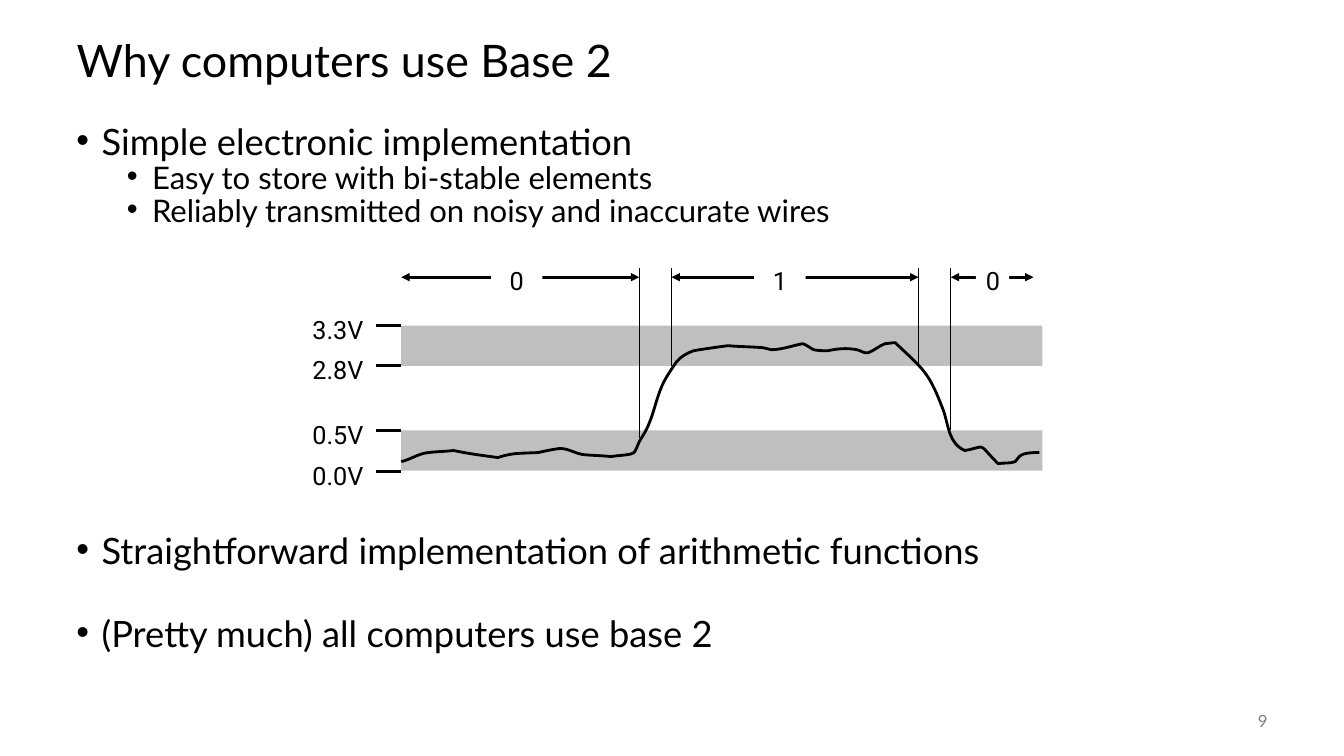
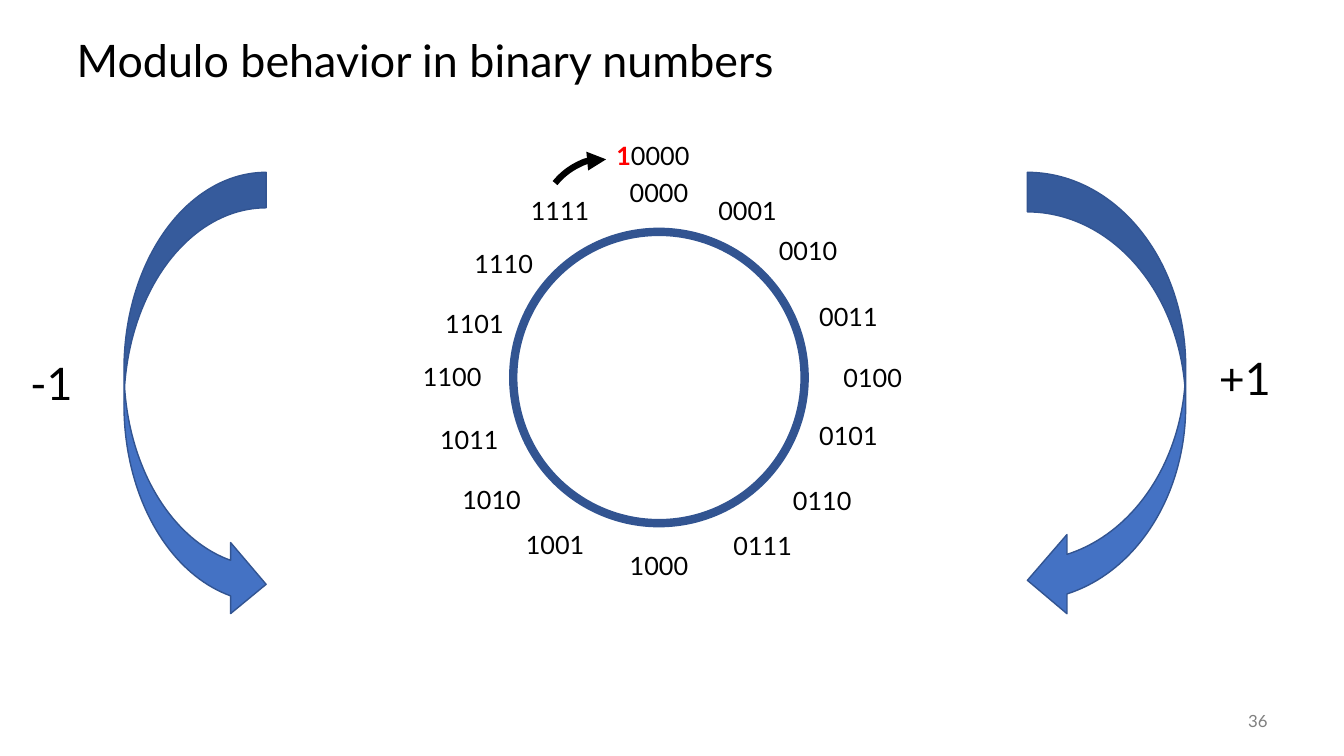
from lxml.etree import Element, SubElement
from pptx import Presentation
from pptx.dml.color import RGBColor
from pptx.enum.shapes import MSO_CONNECTOR, MSO_SHAPE
from pptx.enum.text import MSO_ANCHOR, MSO_AUTO_SIZE, PP_ALIGN
from pptx.oxml.ns import qn
from pptx.util import Inches, Pt

color = RGBColor.from_string
BLACK, WHITE, RED = "000000", "FFFFFF", "FF0000"
BAND_GRAY, NUMBER_GRAY = "BFBFBF", "808080"
BLUE, DARK_BLUE = "4472C4", "325491"
TEXT_FONT, DIAGRAM_FONT = "Lato", "Roboto"


def add_text(page, left, top, width, height, spans, size=18, font=TEXT_FONT,
             align=PP_ALIGN.LEFT, ink=BLACK):
    box = page.shapes.add_textbox(Inches(left), Inches(top), Inches(width), Inches(height))
    box.text_frame.word_wrap = True
    para = box.text_frame.paragraphs[0]
    para.alignment = align
    for text in spans:
        span = para.add_run()
        span.text = text
        span.font.size = Pt(size)
        span.font.name = font
        span.font.color.rgb = color(ink)
    return box


def add_line(page, x1, y1, x2, y2, width, arrows=False):
    line = page.shapes.add_connector(
        MSO_CONNECTOR.STRAIGHT, Inches(x1), Inches(y1), Inches(x2), Inches(y2))
    line.line.color.rgb = color(BLACK)
    line.line.width = Pt(width)
    if arrows:
        for end in ("a:headEnd", "a:tailEnd"):
            SubElement(line.get_or_add_ln(), qn(end), type="triangle")
    SubElement(line._element.spPr, qn("a:effectLst"))


deck = Presentation()
deck.slide_width = Inches(13.33)
deck.slide_height = Inches(7.5)

pages = []
for heading, number in (("Why computers use Base 2", "9"),
                        ("Modulo behavior in binary numbers", "36")):
    page = deck.slides.add_slide(deck.slide_layouts[5])
    title = page.shapes.title
    title.left, title.top = Inches(0.66), Inches(0.25)
    title.width, title.height = Inches(12), Inches(0.75)
    title.text_frame.text = heading
    title.text_frame.auto_size = MSO_AUTO_SIZE.NONE
    title.text_frame.vertical_anchor = MSO_ANCHOR.MIDDLE
    para = title.text_frame.paragraphs[0]
    para.alignment = PP_ALIGN.LEFT
    para.line_spacing = 0.9
    font = para.runs[0].font
    font.size, font.name = Pt(32), TEXT_FONT
    font.color.rgb = color(BLACK)
    footer = add_text(page, 11.67, 6.95, 1, 0.4, [number], size=12,
                      align=PP_ALIGN.RIGHT, ink=NUMBER_GRAY)
    footer.text_frame.vertical_anchor = MSO_ANCHOR.MIDDLE
    pages.append(page)
base_page, modulo_page = pages

bullets = [
    ("Simple electronic implementation", 0, 0),
    ("Easy to store with bi-stable elements", 1, 5),
    ("Reliably transmitted on noisy and inaccurate wires", 1, 5),
    ("Straightforward implementation of arithmetic functions", 0, 223),
    ("(Pretty much) all computers use base 2", 0, 37.6),
]
body = base_page.shapes.add_textbox(Inches(0.66), Inches(1.25), Inches(12), Inches(5.5))
body.text_frame.word_wrap = True
for index, (text, level, space) in enumerate(bullets):
    para = body.text_frame.paragraphs[0] if index == 0 else body.text_frame.add_paragraph()
    para.text = text
    para.level = level
    para.line_spacing = 0.7
    para.space_before = Pt(space)
    properties = para._p.get_or_add_pPr()
    properties.set("marL", str(Inches(0.25 + 0.5 * level)))
    properties.set("indent", str(Inches(-0.25)))
    SubElement(properties, qn("a:buFont"), typeface="Arial")
    SubElement(properties, qn("a:buChar"), char="•")
    font = para.runs[0].font
    font.size, font.name = Pt(22.2 if level else 25.9), TEXT_FONT
    font.color.rgb = color(BLACK)

for top in (4.27, 3.23):
    band = base_page.shapes.add_shape(
        MSO_SHAPE.RECTANGLE, Inches(3.98), Inches(top), Inches(6.36), Inches(0.4))
    band.shadow.inherit = False
    band.fill.solid()
    band.fill.fore_color.rgb = color(BAND_GRAY)
    band.line.fill.background()

signal_curves = [
    (4.07, 4.56, 4.15, 4.5, 4.25, 4.49), (4.33, 4.48, 4.41, 4.48, 4.5, 4.47),
    (4.64, 4.5, 4.79, 4.52, 4.94, 4.54), (5.09, 4.49, 5.14, 4.5, 5.34, 4.49),
    (5.38, 4.48, 5.52, 4.45, 5.56, 4.45), (5.64, 4.45, 5.71, 4.5, 5.78, 4.51),
    (5.88, 4.52, 5.97, 4.52, 6.06, 4.53), (6.12, 4.52, 6.17, 4.52, 6.23, 4.51),
    (6.25, 4.51, 6.27, 4.5, 6.29, 4.49), (6.32, 4.45, 6.33, 4.39, 6.36, 4.35),
    (6.48, 4.17, 6.49, 4, 6.57, 3.82), (6.6, 3.75, 6.67, 3.65, 6.71, 3.59),
    (6.75, 3.54, 6.82, 3.5, 6.88, 3.48), (6.99, 3.46, 7.22, 3.43, 7.22, 3.43),
    (7.33, 3.44, 7.45, 3.44, 7.57, 3.45), (7.6, 3.45, 7.62, 3.47, 7.65, 3.47),
    (7.75, 3.47, 7.86, 3.43, 7.96, 3.41), (8, 3.42, 8.03, 3.45, 8.07, 3.47),
    (8.12, 3.48, 8.16, 3.48, 8.21, 3.48), (8.31, 3.46, 8.39, 3.45, 8.5, 3.47),
    (8.54, 3.48, 8.58, 3.51, 8.61, 3.5), (8.67, 3.48, 8.72, 3.43, 8.78, 3.41),
    (8.81, 3.41, 8.84, 3.4, 8.88, 3.4), (9.16, 3.67, 9.21, 3.68, 9.36, 4.08),
    (9.41, 4.23, 9.41, 4.4, 9.57, 4.47), (9.8, 4.43, 9.68, 4.38, 9.9, 4.6),
    (9.96, 4.59, 10.02, 4.6, 10.07, 4.58), (10.09, 4.57, 10.09, 4.54, 10.11, 4.53),
    (10.15, 4.49, 10.25, 4.49, 10.31, 4.49),
]
builder = base_page.shapes.build_freeform(Inches(3.98), Inches(4.58))
builder.add_line_segments(
    [(Inches(curve[4]), Inches(curve[5])) for curve in signal_curves], close=False)
signal = builder.convert_to_shape()
segments = list(signal._element.iter(qn("a:lnTo")))
for segment, (x1, y1, x2, y2, _, _) in zip(segments, signal_curves):
    segment.tag = qn("a:cubicBezTo")
    for position, (x, y) in enumerate(((x1, y1), (x2, y2))):
        control = Element(qn("a:pt"), x=str(Inches(x) - signal.left),
                          y=str(Inches(y) - signal.top))
        segment.insert(position, control)
signal.shadow.inherit = False
signal.fill.background()
signal.line.color.rgb = color(BLACK)
signal.line.width = Pt(2)

for voltage, tick, top in (("3.3V", 3.23, 3.07), ("2.8V", 3.63, 3.47),
                           ("0.5V", 4.27, 4.11), ("0.0V", 4.68, 4.52)):
    add_line(base_page, 3.98, tick, 3.73, tick, 2)
    label = add_text(base_page, 3, top, 0.71, 0.4, [voltage], font=DIAGRAM_FONT)
    label.text_frame.word_wrap = False

for x, bottom in ((6.34, 4.35), (6.66, 3.63), (9.11, 3.63), (9.43, 4.27)):
    add_line(base_page, x, 2.66, x, bottom, 1)

for bit, start, end, left, width in (("0", 3.98, 6.34, 4.87, 0.51),
                                     ("1", 6.66, 9.11, 7.48, 0.51),
                                     ("0", 9.43, 10.25, 9.68, 0.33)):
    add_line(base_page, start, 2.75, end, 2.75, 2, arrows=True)
    label = add_text(base_page, left, 2.58, width, 0.4, [bit], font=DIAGRAM_FONT,
                     align=PP_ALIGN.CENTER)
    label.fill.solid()
    label.fill.fore_color.rgb = color(WHITE)

ring = modulo_page.shapes.add_shape(
    MSO_SHAPE.OVAL, Inches(5.09), Inches(2.3), Inches(2.89), Inches(2.89))
ring.shadow.inherit = False
ring.fill.background()
ring.line.color.rgb = color(DARK_BLUE)
ring.line.width = Pt(6)

label_places = [
    (6.13, 1.71), (7.01, 1.89), (7.61, 2.29), (8.01, 2.94),
    (8.25, 3.55), (8.01, 4.12), (7.75, 4.77), (7.16, 5.21),
    (6.13, 5.41), (5.1, 5.2), (4.47, 4.76), (4.25, 4.16),
    (4.08, 3.54), (4.3, 3.01), (4.59, 2.41), (5.15, 1.89),
]
for value, (left, top) in enumerate(label_places):
    add_text(modulo_page, left, top, 0.81, 0.4, [f"{value:04b}"], align=PP_ALIGN.CENTER)

for left, width, flipped, text, text_left, text_top in (
        (10.19, 1.57, False, "+1", 11.99, 3.43),
        (1.23, 1.41, True, "-1", 0.2, 3.48)):
    arrow = modulo_page.shapes.add_shape(
        MSO_SHAPE.CURVED_LEFT_ARROW, Inches(left), Inches(1.71), Inches(width), Inches(4.44))
    arrow.shadow.inherit = False
    arrow.fill.solid()
    arrow.fill.fore_color.rgb = color(BLUE)
    arrow.line.color.rgb = color(DARK_BLUE)
    arrow.line.width = Pt(1)
    if flipped:
        arrow._element.spPr.find(qn("a:xfrm")).set("flipH", "1")
    add_text(modulo_page, text_left, text_top, 1.34, 0.64, [text], size=32)

overflow = modulo_page.shapes.add_shape(
    MSO_SHAPE.ARC, Inches(5.29), Inches(1.65), Inches(1.13), Inches(0.9))
overflow.shadow.inherit = False
overflow.rotation = 309.1
overflow.adjustments[0] = 162
overflow.adjustments[1] = 202.61
overflow.fill.background()
overflow.line.color.rgb = color(BLACK)
overflow.line.width = Pt(4.5)
SubElement(overflow.get_or_add_ln(), qn("a:tailEnd"), type="triangle")

carry = add_text(modulo_page, 5.72, 1.34, 1.51, 0.4, ["1", "0000"], align=PP_ALIGN.CENTER)
carry_font = carry.text_frame.paragraphs[0].runs[0].font
carry_font.bold = True
carry_font.color.rgb = color(RED)

deck.save("out.pptx")
